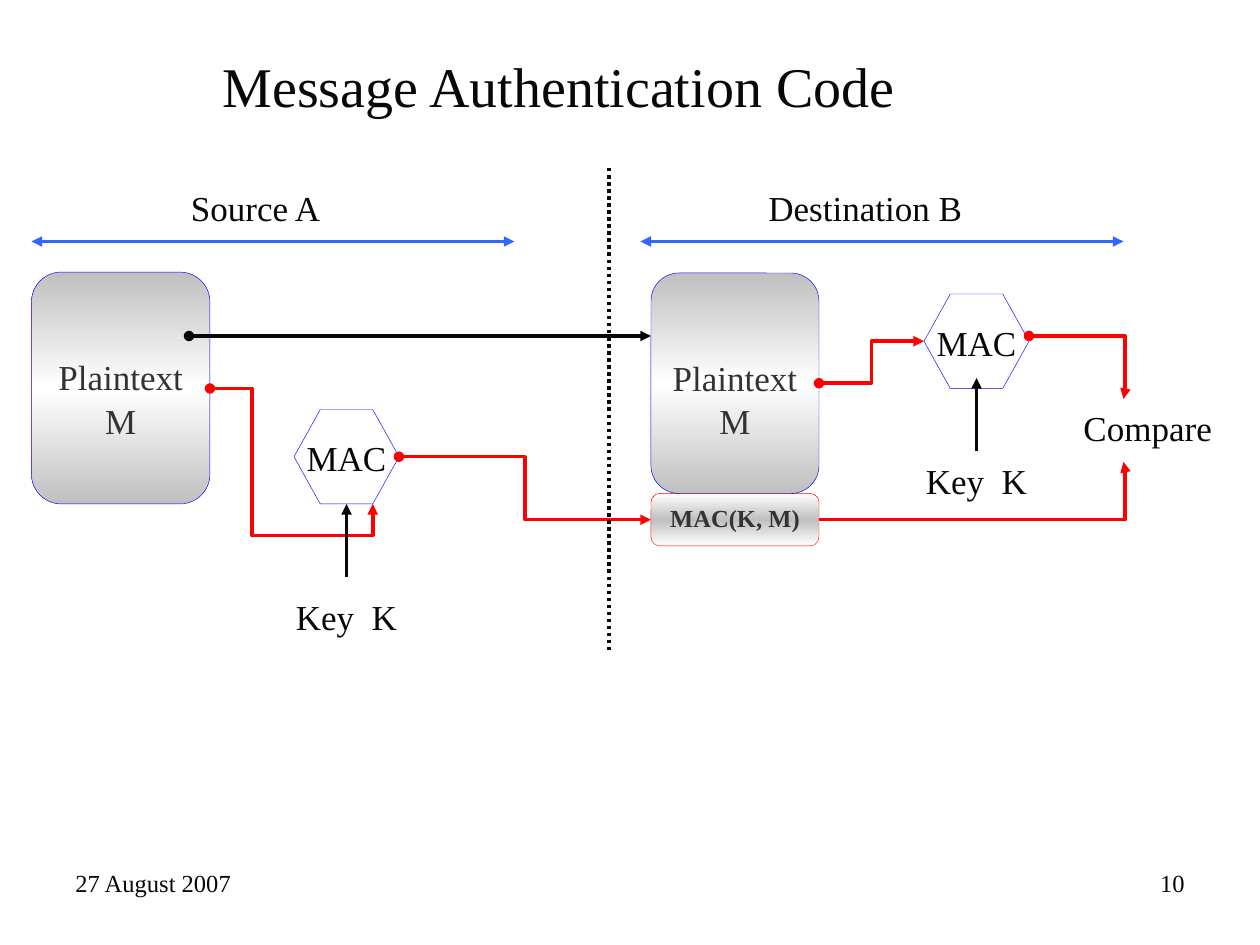
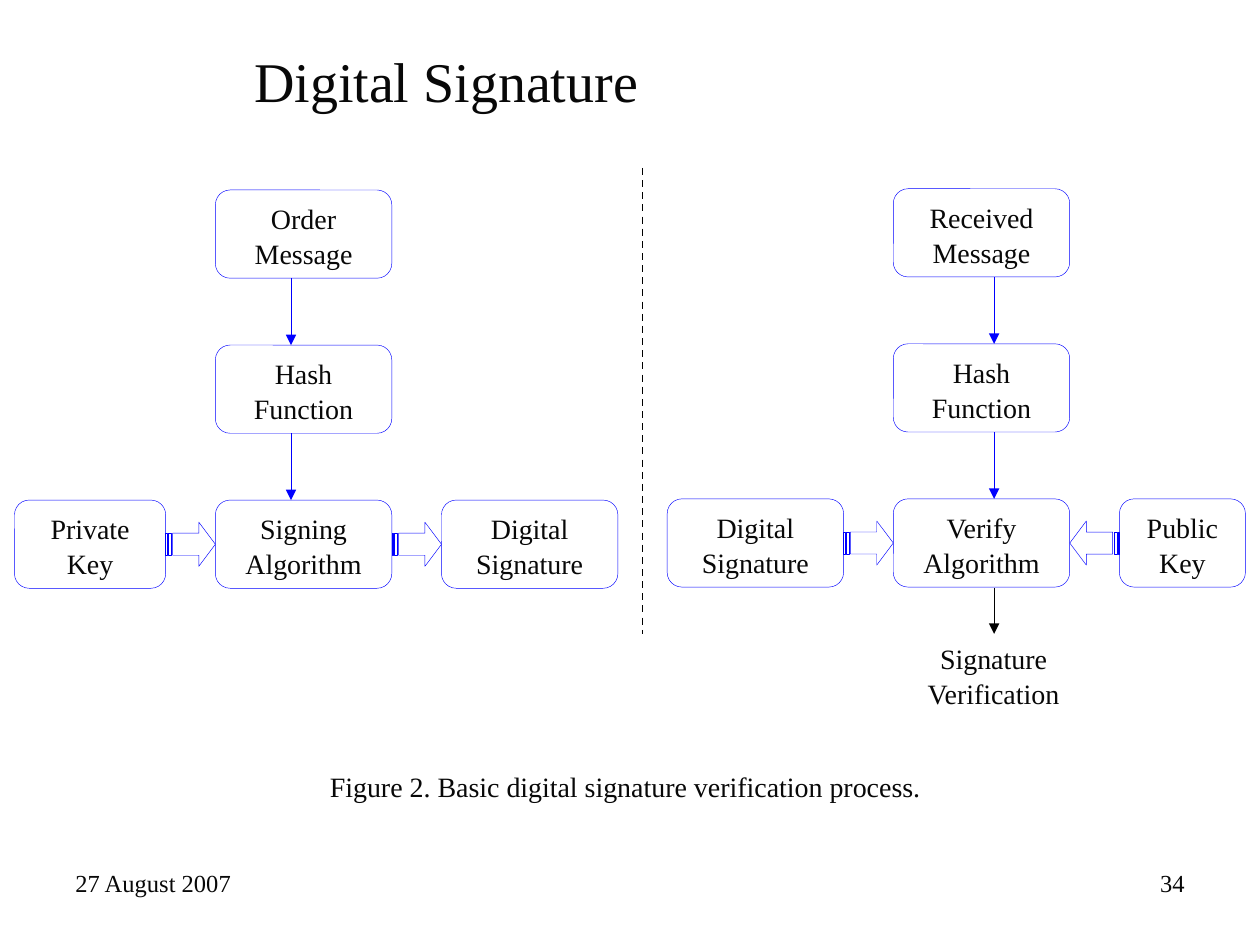
import copy

import lxml.etree
import pptx
import pptx.dml.color
import pptx.enum.dml
import pptx.enum.shapes
import pptx.enum.text
import pptx.oxml.ns
import pptx.util

Pt = pptx.util.Pt
RGBColor = pptx.dml.color.RGBColor
SHAPES = pptx.enum.shapes.MSO_SHAPE
CONNECTORS = pptx.enum.shapes.MSO_CONNECTOR
DASHES = pptx.enum.dml.MSO_LINE
ALIGN = pptx.enum.text.PP_ALIGN
ANCHOR = pptx.enum.text.MSO_ANCHOR
qn = pptx.oxml.ns.qn

INK = RGBColor(0x08, 0x08, 0x08)
BLACK = RGBColor(0, 0, 0)
GRAY_TEXT = RGBColor(0x33, 0x33, 0x33)
SILVER = RGBColor(0xC0, 0xC0, 0xC0)
WHITE = RGBColor(0xFF, 0xFF, 0xFF)
RED = RGBColor(0xFF, 0, 0)
BLUE = RGBColor(0, 0, 0xFF)
SPAN_BLUE = RGBColor(0x33, 0x66, 0xFF)
FONT = "Times New Roman"
HAIRLINE = 0.25
CORNER = 0.167

DATE = "27 August 2007"

# Message Authentication Code: boxes are (left, top, width, height)
MAC_TITLE = ("Message Authentication Code", (120, 6, 581, 84))
PLAINTEXT = "Plaintext\nM"
PLAINTEXT_BOXES = [(18, 155.5, 102, 132.5), (372, 156, 96, 126)]
MAC_TAG = ("MAC(K, M)", (372, 282, 96, 30))
MAC_HEXAGONS = [(168, 234, 60, 54), (528, 168, 60, 54)]
MAC_LABELS = [
    ("Source A", (102, 102, 96, 32)),
    ("Destination B", (432, 102, 132, 32)),
    ("Key  K", (162, 336, 78, 32)),
    ("Key  K", (522, 258, 78, 32)),
    ("Compare", (612, 228, 90, 32)),
]
PARTY_SPANS = [(18, 138, 294, 138), (366, 138, 642, 138)]
MESSAGE_ARROW = (108, 192, 372, 192)
KEY_ARROWS = [(198, 330, 198, 288), (558, 258, 558, 216)]
# (start and end, bend positions, start mark)
MAC_FLOWS = [
    ((120, 222, 213, 288), (0.258, 1.272), "oval"),
    ((228, 261, 372, 297), (0.5,), "oval"),
    ((468, 219, 528, 195), (0.5,), "oval"),
    ((468, 297, 642, 264), (1.006,), None),
    ((588, 192, 642, 228), (1.018,), "oval"),
]
MAC_DIVIDER = (348, 96, 348, 372)

# Digital Signature: each side has a column of steps and neighbours of the last
SIGNATURE_TITLE = ("Digital Signature", (138, 12, 306, 66))
SIDES = [
    {
        "left": 123.1, "top": 108.6, "arrow_x": 166.3,
        "steps": ["Order Message", "Hash Function", "Signing Algorithm"],
        "before": ("Private Key", 86.4), "after": ("Digital Signature", 100.8),
        "after_points_in": False,
    },
    {
        "left": 510.5, "top": 107.9, "arrow_x": 568.1,
        "steps": ["Received Message", "Hash Function", "Verify Algorithm"],
        "before": ("Digital Signature", 100.8), "after": ("Public Key", 72),
        "after_points_in": True,
    },
]
STEP_WIDTH, STEP_HEIGHT, STEP_PITCH = 100.8, 50.4, 88.6
SIDE_GAP, BLOCK_ARROW_HEIGHT = 28.4, 25.2
RESULT = ("Signature Verification", (510.5, 362.2, 114.5, 50.4))
RESULT_ARROW = (568.1, 336, 568.1, 362.2)
SIGNATURE_DIVIDER = (367.2, 96, 367.2, 362.2)
CAPTION = ("Figure 2. Basic digital signature verification process.",
           (181.4, 435.6, 352, 26.6))


def write_text(shape, text, size=20, color=INK, bold=False, align=ALIGN.LEFT,
               anchor=ANCHOR.TOP, wrap=True, top_margin=3.6):
    frame = shape.text_frame
    frame.text = text
    frame.auto_size = pptx.enum.text.MSO_AUTO_SIZE.NONE
    frame.word_wrap = wrap
    frame.vertical_anchor = anchor
    frame.margin_left = frame.margin_right = Pt(7.2)
    frame.margin_top, frame.margin_bottom = Pt(top_margin), Pt(3.6)
    for paragraph in frame.paragraphs:
        paragraph.alignment = align
        paragraph.line_spacing = 1.04
        paragraph.font.name = FONT
        paragraph.font.size = Pt(size)
        paragraph.font.bold = bold
        paragraph.font.color.rgb = color


def add_label(slide, text, box, **text_format):
    write_text(slide.shapes.add_textbox(*map(Pt, box)), text, **text_format)


def fill_gradient(shape, colors):
    """Fill from top to bottom with evenly spaced colour stops."""
    shape.fill.gradient()
    shape.fill.gradient_angle = 270
    stop_list = shape._element.spPr.find(".//" + qn("a:gsLst"))
    while len(stop_list) < len(colors):
        stop_list.append(copy.deepcopy(stop_list[0]))
    for index, stop in enumerate(shape.fill.gradient_stops):
        stop.color.rgb = colors[index]
        stop.position = index / (len(colors) - 1)


def add_figure(slide, kind, box, fill=None, line=BLUE, adjustments=()):
    """Add a hairline shape; fill is None, a colour or a list of colours."""
    shape = slide.shapes.add_shape(kind, *map(Pt, box))
    shape.shadow.inherit = False
    for index, value in enumerate(adjustments):
        shape.adjustments[index] = value
    if fill is None:
        shape.fill.background()
    elif isinstance(fill, list):
        fill_gradient(shape, fill)
    else:
        shape.fill.solid()
        shape.fill.fore_color.rgb = fill
    shape.line.color.rgb = line
    shape.line.width = Pt(HAIRLINE)
    return shape


def add_line(slide, ends, color, width=2, head=None, tail="triangle",
             dash=None, bends=()):
    kind = CONNECTORS.ELBOW if bends else CONNECTORS.STRAIGHT
    connector = slide.shapes.add_connector(kind, *map(Pt, ends))
    connector.line.color.rgb = color
    connector.line.width = Pt(width)
    if dash:
        connector.line.dash_style = dash
    properties = connector._element.spPr
    line_element = properties.find(qn("a:ln"))
    for tag, mark in (("a:headEnd", head), ("a:tailEnd", tail)):
        if mark:
            lxml.etree.SubElement(line_element, qn(tag), type=mark)
    lxml.etree.SubElement(properties, qn("a:effectLst"))
    if bends:
        geometry = properties.find(qn("a:prstGeom"))
        geometry.set("prst", f"bentConnector{len(bends) + 2}")
        guides = geometry.find(qn("a:avLst"))
        for number, bend in enumerate(bends, 1):
            lxml.etree.SubElement(guides, qn("a:gd"), name=f"adj{number}",
                                  fmla=f"val {round(bend * 100000)}")


def add_slide(presentation, title, number):
    slide = presentation.slides.add_slide(presentation.slide_layouts[5])
    text, box = title
    shape = slide.shapes.title
    shape.left, shape.top, shape.width, shape.height = map(Pt, box)
    write_text(shape, text, size=32, anchor=ANCHOR.MIDDLE)
    add_label(slide, DATE, (36, 492, 168, 37), size=14)
    add_label(slide, number, (516, 492, 168, 37), size=14, align=ALIGN.RIGHT)
    return slide


def build_mac_slide(presentation):
    slide = add_slide(presentation, MAC_TITLE, "10")
    text, box = MAC_TAG
    tag = add_figure(slide, SHAPES.ROUNDED_RECTANGLE, box, line=RED,
                     fill=[WHITE, SILVER, WHITE], adjustments=[CORNER])
    write_text(tag, text, size=14, color=GRAY_TEXT, bold=True,
               align=ALIGN.CENTER)
    for box in PLAINTEXT_BOXES:
        plaintext = add_figure(slide, SHAPES.ROUNDED_RECTANGLE, box,
                               fill=[SILVER, WHITE, SILVER],
                               adjustments=[CORNER])
        write_text(plaintext, PLAINTEXT, color=GRAY_TEXT, align=ALIGN.CENTER,
                   top_margin=42)
    for box in MAC_HEXAGONS:
        hexagon = add_figure(slide, SHAPES.HEXAGON, box, adjustments=[0.278])
        write_text(hexagon, "MAC", align=ALIGN.CENTER, anchor=ANCHOR.MIDDLE,
                   wrap=False)
    for text, box in MAC_LABELS:
        add_label(slide, text, box)

    for ends in PARTY_SPANS:
        add_line(slide, ends, SPAN_BLUE, head="triangle")
    add_line(slide, MESSAGE_ARROW, INK, head="oval")
    for ends, bends, head in MAC_FLOWS:
        add_line(slide, ends, RED, head=head, bends=bends)
    for ends in KEY_ARROWS:
        add_line(slide, ends, INK)
    add_line(slide, MAC_DIVIDER, INK, tail=None, dash=DASHES.ROUND_DOT)


def add_step(slide, text, left, top, width=STEP_WIDTH):
    step = add_figure(slide, SHAPES.ROUNDED_RECTANGLE,
                      (left, top, width, STEP_HEIGHT), fill=WHITE,
                      adjustments=[CORNER])
    write_text(step, text, size=16, align=ALIGN.CENTER)


def add_block_arrow(slide, left, row_top, points_left=False):
    top = row_top + (STEP_HEIGHT - BLOCK_ARROW_HEIGHT) / 2
    arrow = add_figure(slide, SHAPES.STRIPED_RIGHT_ARROW,
                       (left, top, SIDE_GAP, BLOCK_ARROW_HEIGHT), fill=WHITE,
                       adjustments=[0.5, 0.375])
    if points_left:
        arrow.rotation = 180


def add_side(slide, side):
    left, arrow_x = side["left"], side["arrow_x"]
    tops = [side["top"] + row * STEP_PITCH for row in range(len(side["steps"]))]
    for text, top in zip(side["steps"], tops):
        add_step(slide, text, left, top)
    for top, next_top in zip(tops, tops[1:]):
        add_line(slide, (arrow_x, top + STEP_HEIGHT, arrow_x, next_top), BLUE,
                 width=HAIRLINE)

    last_top, right = tops[-1], left + STEP_WIDTH
    text, width = side["before"]
    add_step(slide, text, left - SIDE_GAP - width, last_top, width)
    add_block_arrow(slide, left - SIDE_GAP, last_top)
    text, width = side["after"]
    add_step(slide, text, right + SIDE_GAP, last_top, width)
    add_block_arrow(slide, right, last_top, side["after_points_in"])


def build_signature_slide(presentation):
    slide = add_slide(presentation, SIGNATURE_TITLE, "34")
    for side in SIDES:
        add_side(slide, side)
    add_line(slide, SIGNATURE_DIVIDER, BLACK, width=1, tail=None,
             dash=DASHES.DASH)
    add_line(slide, RESULT_ARROW, BLACK, width=0.75)
    add_label(slide, *RESULT, size=16, align=ALIGN.CENTER)
    add_label(slide, *CAPTION, size=16, anchor=ANCHOR.MIDDLE, wrap=False)


def main():
    presentation = pptx.Presentation()
    presentation.slide_width, presentation.slide_height = Pt(720), Pt(540)
    build_mac_slide(presentation)
    build_signature_slide(presentation)
    presentation.save("out.pptx")


if __name__ == "__main__":
    main()
